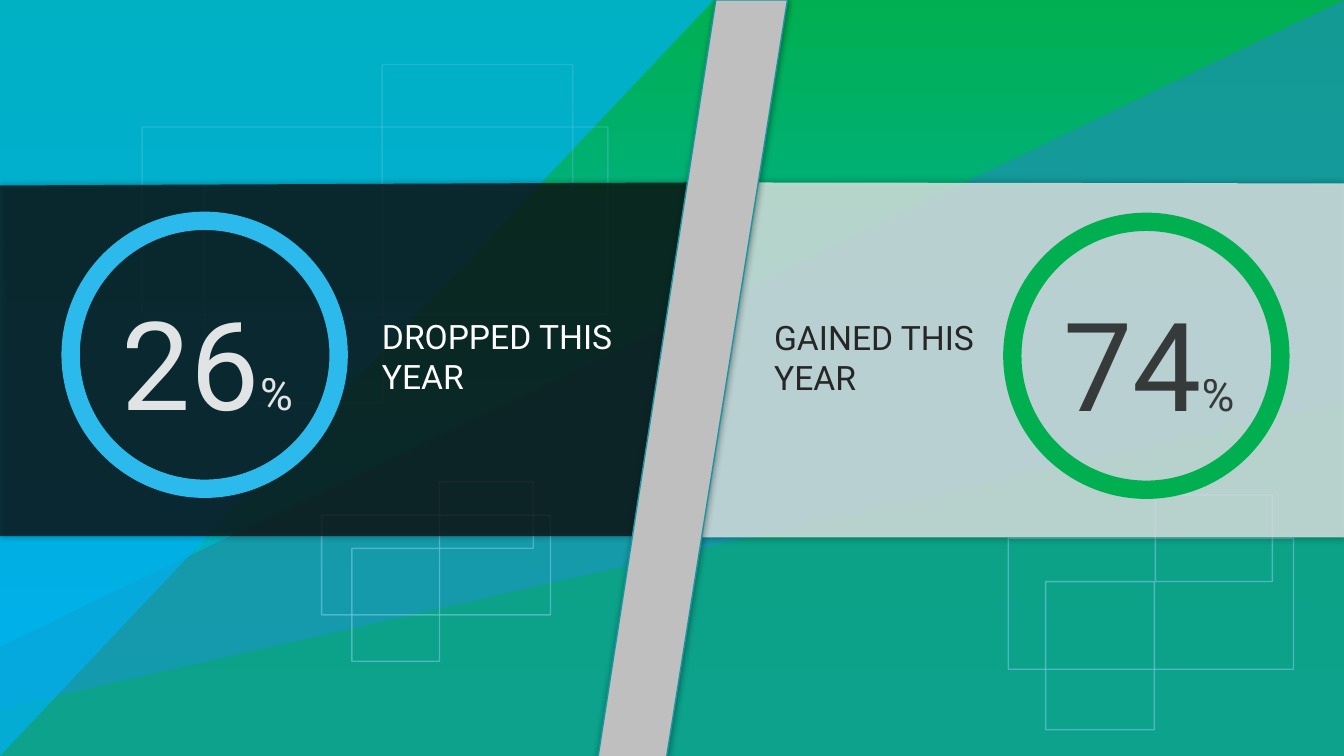
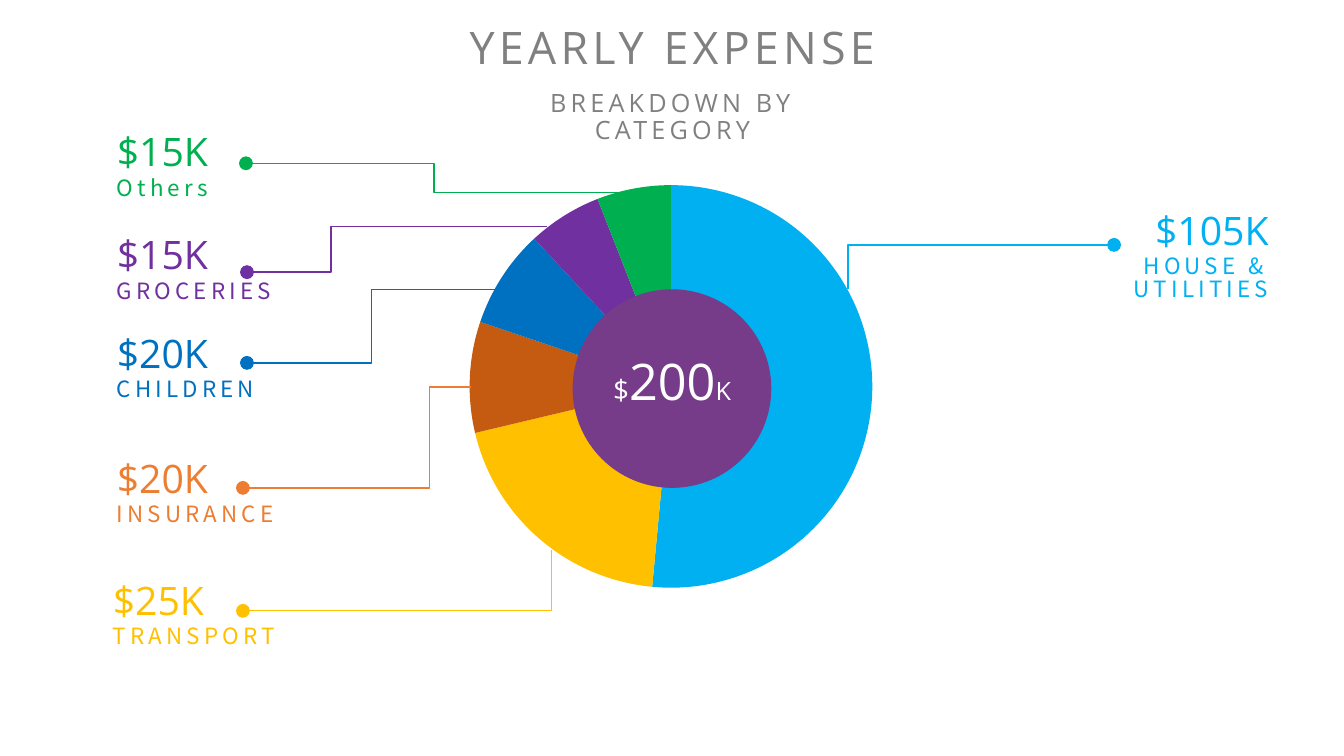
import dataclasses

import lxml.etree
import pptx
import pptx.chart.data
import pptx.dml.color
import pptx.enum.chart
import pptx.enum.dml
import pptx.enum.shapes
import pptx.enum.text
import pptx.oxml.ns
import pptx.shapes.autoshape
import pptx.shapes.shapetree
import pptx.slide
import pptx.text.text
import pptx.util

Inches = pptx.util.Inches
Align = pptx.enum.text.PP_ALIGN
Preset = pptx.enum.shapes.MSO_SHAPE
Point = tuple[float, float]
Box = tuple[float, float, float, float]


@dataclasses.dataclass(frozen=True)
class Theme:
    green: str = "00B050"
    blue: str = "00B0F0"
    teal: str = "1996A3"
    frame: str = "73C8E3"
    ring_blue: str = "2CBAEC"
    white: str = "FFFFFF"
    light: str = "F2F2F2"
    black: str = "000000"
    near_black: str = "0D0D0D"
    dark: str = "262626"
    silver: str = "BFBFBF"
    grey: str = "808080"
    yellow: str = "FFC000"
    orange: str = "ED7D31"
    rust: str = "C55A11"
    navy: str = "0070C0"
    purple: str = "7030A0"
    plum: str = "763B89"
    stat_font: str = "Roboto"
    heading_font: str = "Open Sans"
    label_font: str = "Noto Sans CJK SC"
    stat_size: int = 88
    percent_size: int = 32
    stat_label_size: int = 24
    title_size: int = 32
    subtitle_size: int = 18
    value_size: int = 28
    label_size: int = 16
    total_sizes: tuple[int, int, int] = (20, 36, 18)
    chart_size: int = 10
    tracking: int = 3
    tight: float = 0.9
    label_spacing: float = 0.84


THEME = Theme()


@dataclasses.dataclass(frozen=True)
class TextStyle:
    font: str
    color: str
    align: Align = Align.LEFT
    spacing: float = 1.0
    tracking: int = 0
    opacity: int = 100


@dataclasses.dataclass(frozen=True)
class FrameCluster:
    opacity: int
    boxes: tuple[Box, ...]


@dataclasses.dataclass(frozen=True)
class Statistic:
    number: str
    label: str
    ring_left: float
    top: float
    label_left: float
    ring_color: str
    number_color: str
    label_color: str


@dataclasses.dataclass(frozen=True)
class Callout:
    value: str
    label: str
    color: str
    edge: float
    top: float
    start: Point
    end: Point
    bend: float
    align: Align = Align.LEFT


CLUSTERS = (
    FrameCluster(62, ((10, 5.34, 2.83, 1.3), (11.46, 4.91, 1.16, 0.86), (10.37, 5.77, 1.08, 1.47))),
    FrameCluster(62, ((3.19, 5.11, 2.27, 0.99), (4.36, 4.78, 0.93, 0.66), (3.49, 5.44, 0.87, 1.12))),
    FrameCluster(29, ((1.41, 1.26, 4.62, 1.86), (3.79, 0.64, 1.89, 1.24), (2.03, 1.88, 1.77, 2.12))),
)
STATISTICS = (
    Statistic("26", "DROPPED THIS YEAR", 0.61, 2.1, 3.69, THEME.ring_blue, THEME.white, THEME.white),
    Statistic("74", "GAINED THIS YEAR", 9.95, 2.11, 7.58, THEME.green, THEME.dark, THEME.dark),
)
CALLOUTS = (
    Callout("$105K", "HOUSE & UTILITIES", THEME.blue, 12.68, 2.05, (8.41, 2.87), (11.05, 2.43), 0, Align.RIGHT),
    Callout("$25K", "TRANSPORT", THEME.yellow, 1.02, 5.72, (5.47, 5.46), (2.41, 6.06), 0),
    Callout("$20K", "INSURANCE", THEME.orange, 1.06, 4.51, (4.67, 3.84), (2.41, 4.84), 0.18),
    Callout("$20K", "CHILDREN", THEME.navy, 1.06, 3.27, (4.92, 2.87), (2.45, 3.6), 0.5),
    Callout("$15K", "GROCERIES", THEME.purple, 1.06, 2.29, (5.43, 2.25), (2.45, 2.7), 0.72),
    Callout("$15K", "Others", THEME.green, 1.06, 1.27, (6.17, 1.91), (2.44, 1.62), 0.5),
)
SLICES = (
    (52, THEME.blue), (20, THEME.yellow), (9, THEME.rust),
    (8, THEME.navy), (6, THEME.purple), (6, THEME.green),
)


def rgb(color: str) -> pptx.dml.color.RGBColor:
    return pptx.dml.color.RGBColor.from_string(color)


def add_element(parent: lxml.etree._Element, tag: str, **attributes: str) -> lxml.etree._Element:
    return lxml.etree.SubElement(parent, pptx.oxml.ns.qn(tag), attributes)


def set_opacity(element: lxml.etree._Element, percent: int) -> None:
    if percent < 100:
        for color in element.xpath(".//a:solidFill/a:srgbClr"):
            add_element(color, "a:alpha", val=str(percent * 1000))


def paint(shape: pptx.shapes.autoshape.Shape, fill: str | None = None,
          line: str | None = None, opacity: int = 100) -> None:
    shape.shadow.inherit = False
    if fill:
        shape.fill.solid()
        shape.fill.fore_color.rgb = rgb(fill)
    else:
        shape.fill.background()
    if line:
        shape.line.color.rgb = rgb(line)
        shape.line.width = pptx.util.Pt(1)
    else:
        shape.line.fill.background()
    set_opacity(shape._element.spPr, opacity)


def add_preset(shapes: pptx.shapes.shapetree._BaseGroupShapes, preset: Preset,
               box: Box) -> pptx.shapes.autoshape.Shape:
    return shapes.add_shape(preset, *map(Inches, box))


def add_polygon(slide: pptx.slide.Slide, points: tuple[Point, ...]) -> pptx.shapes.autoshape.Shape:
    corners = [(Inches(x), Inches(y)) for x, y in points]
    builder = slide.shapes.build_freeform(*corners[0], scale=1.0)
    builder.add_line_segments(corners[1:], close=True)
    return builder.convert_to_shape()


def add_shadow(shape: pptx.shapes.autoshape.Shape) -> None:
    effects = shape._element.spPr.xpath("./a:effectLst")[0]
    shadow = add_element(effects, "a:outerShdw", blurRad=str(pptx.util.Pt(5)), dist="0",
                         dir="0", algn="ctr", rotWithShape="0")
    color = add_element(shadow, "a:srgbClr", val=THEME.black)
    add_element(color, "a:alpha", val="40000")


def style_paragraph(paragraph: pptx.text.text._Paragraph, style: TextStyle, sizes: tuple[int, ...]) -> None:
    paragraph.alignment = style.align
    paragraph.line_spacing = style.spacing
    paragraph.space_before = pptx.util.Pt(0)
    for run, size in zip(paragraph.runs, sizes):
        run.font.name = style.font
        run.font.size = pptx.util.Pt(size)
        run.font.color.rgb = rgb(style.color)
        set_opacity(run._r, style.opacity)
        if style.tracking:
            run._r.get_or_add_rPr().set("spc", str(style.tracking * 100))


def add_text(slide: pptx.slide.Slide, box: Box, style: TextStyle, *parts: tuple[str, int]) -> None:
    text_frame = slide.shapes.add_textbox(*map(Inches, box)).text_frame
    text_frame.word_wrap = True
    paragraph = text_frame.paragraphs[0]
    paragraph.text = parts[0][0]
    for text, _ in parts[1:]:
        paragraph.add_run().text = text
    style_paragraph(paragraph, style, tuple(size for _, size in parts))


def fill_placeholder(shape: pptx.shapes.autoshape.Shape, box: Box, text: str, size: int) -> None:
    shape.left, shape.top, shape.width, shape.height = map(Inches, box)
    text_frame = shape.text_frame
    text_frame.text = text
    text_frame.word_wrap = True
    text_frame.auto_size = pptx.enum.text.MSO_AUTO_SIZE.NONE
    text_frame.vertical_anchor = pptx.enum.text.MSO_ANCHOR.TOP
    style = TextStyle(THEME.heading_font, THEME.grey, Align.CENTER, THEME.tight, THEME.tracking)
    style_paragraph(text_frame.paragraphs[0], style, (size,))


def add_backdrop(slide: pptx.slide.Slide) -> None:
    backdrop = add_preset(slide.shapes, Preset.RECTANGLE, (0, 0, 13.33, 7.5))
    paint(backdrop)
    backdrop.fill.gradient()
    backdrop.fill.gradient_angle = 270
    for stop, color in zip(backdrop.fill.gradient_stops, (THEME.green, THEME.blue)):
        stop.color.rgb = rgb(color)
    paint(add_polygon(slide, ((0, 6.42), (13.33, 0), (13.33, 7.5), (0, 7.5))), THEME.teal, opacity=82)
    paint(add_polygon(slide, ((0, 7.03), (13.33, 3.99), (13.33, 7.54), (0, 7.54))), THEME.green, opacity=37)
    corner = add_preset(slide.shapes, Preset.ISOSCELES_TRIANGLE, (0, 0, 7.08, 7.5))
    corner.adjustments[0] = 0
    corner._element.spPr.xfrm.set("flipV", "1")
    paint(corner, THEME.blue, opacity=72)
    for cluster in CLUSTERS:
        group = slide.shapes.add_group_shape()
        for box in cluster.boxes:
            paint(add_preset(group.shapes, Preset.RECTANGLE, box), line=THEME.frame, opacity=cluster.opacity)


def add_bands(slide: pptx.slide.Slide) -> None:
    bands = (
        (((7.25, 1.81), (13.34, 1.82), (13.34, 5.33), (6.93, 5.33)), THEME.light),
        (((0, 1.84), (6.94, 1.81), (6.55, 5.32), (0, 5.32)), THEME.near_black),
    )
    for points, color in bands:
        band = add_polygon(slide, points)
        paint(band, color, opacity=75)
        add_shadow(band)
    divider = add_polygon(slide, ((7.1, 0), (7.81, 0), (6.61, 7.52), (5.93, 7.52)))
    paint(divider, line=THEME.teal)
    divider.fill.patterned()
    divider.fill.pattern = pptx.enum.dml.MSO_PATTERN.DARK_HORIZONTAL
    divider.fill.fore_color.rgb = rgb(THEME.silver)
    divider.fill.back_color.rgb = rgb(THEME.white)
    add_shadow(divider)


def add_statistic(slide: pptx.slide.Slide, item: Statistic) -> None:
    ring = add_preset(slide.shapes, Preset.DONUT, (item.ring_left, item.top, 2.84, 2.84))
    ring.adjustments[0] = 0.064
    paint(ring, item.ring_color)
    number_style = TextStyle(THEME.stat_font, item.number_color, Align.CENTER, opacity=87)
    add_text(slide, (item.ring_left + 0.32, item.top + 0.7, 2.25, 1.58), number_style,
             (item.number, THEME.stat_size), ("%", THEME.percent_size))
    add_text(slide, (item.label_left, item.top + 0.98, 2.66, 0.91),
             TextStyle(THEME.stat_font, item.label_color), (item.label, THEME.stat_label_size))


def add_expense_chart(slide: pptx.slide.Slide) -> None:
    data = pptx.chart.data.CategoryChartData()
    data.categories = [str(index + 1) for index in range(len(SLICES))]
    data.add_series("Series 1", [value for value, _ in SLICES])
    box = map(Inches, (3.01, 1.63, 7.32, 5.05))
    chart = slide.shapes.add_chart(pptx.enum.chart.XL_CHART_TYPE.PIE, *box, data).chart
    chart.has_title = False
    chart.has_legend = False
    chart.font.name = THEME.label_font
    chart.font.size = pptx.util.Pt(THEME.chart_size)
    chart.font.color.rgb = rgb(THEME.black)
    chart.plots[0].vary_by_categories = True
    for index, (_, color) in enumerate(SLICES):
        point_format = chart.plots[0].series[0].points[index].format
        point_format.fill.solid()
        point_format.fill.fore_color.rgb = rgb(color)
        point_format.line.fill.background()
    plot_area = chart._chartSpace.xpath("./c:chart/c:plotArea")[0]
    for layout in plot_area.xpath("./c:layout"):
        plot_area.remove(layout)
    layout = add_element(plot_area, "c:layout")
    plot_area.insert(0, layout)
    manual = add_element(layout, "c:manualLayout")
    settings = (("layoutTarget", "inner"), ("xMode", "edge"), ("yMode", "edge"),
                ("x", "0.225"), ("y", "0.041"), ("w", "0.546"), ("h", "0.791"))
    for name, value in settings:
        add_element(manual, f"c:{name}", val=value)


def add_callout(slide: pptx.slide.Slide, item: Callout) -> None:
    connector = slide.shapes.add_connector(
        pptx.enum.shapes.MSO_CONNECTOR.ELBOW, *map(Inches, item.start + item.end))
    connector.line.color.rgb = rgb(item.color)
    connector.line.width = pptx.util.Pt(1)
    properties = connector._element.spPr
    add_element(connector.line._get_or_add_ln(), "a:tailEnd", type="oval", w="lg", len="lg")
    add_element(properties, "a:effectLst")
    geometry = properties.xpath("./a:prstGeom")[0]
    for adjustments in geometry.xpath("./a:avLst"):
        geometry.remove(adjustments)
    add_element(add_element(geometry, "a:avLst"), "a:gd", name="adj1", fmla=f"val {round(item.bend * 100000)}")
    rows = (
        (item.value, 0, 1.62, 0.57, THEME.value_size,
         TextStyle(THEME.heading_font, item.color, item.align, THEME.tight)),
        (item.label, 0.45, 2.7, 0.37, THEME.label_size,
         TextStyle(THEME.label_font, item.color, item.align, THEME.label_spacing, THEME.tracking)),
    )
    for text, offset, width, height, size, style in rows:
        left = item.edge - width if item.align == Align.RIGHT else item.edge
        add_text(slide, (left, item.top + offset, width, height), style, (text, size))


def build_comparison_slide(presentation: pptx.presentation.Presentation) -> None:
    slide = presentation.slides.add_slide(presentation.slide_layouts[6])
    add_backdrop(slide)
    add_bands(slide)
    for item in STATISTICS:
        add_statistic(slide, item)


def build_expense_slide(presentation: pptx.presentation.Presentation) -> None:
    slide = presentation.slides.add_slide(presentation.slide_layouts[0])
    fill_placeholder(slide.shapes.title, (4.47, 0.21, 4.4, 0.64), "YEARLY EXPENSE", THEME.title_size)
    fill_placeholder(slide.placeholders[1], (4.62, 0.85, 4.1, 0.4), "BREAKDOWN BY CATEGORY", THEME.subtitle_size)
    add_expense_chart(slide)
    paint(add_preset(slide.shapes, Preset.OVAL, (5.68, 2.87, 1.97, 1.97)), THEME.plum)
    add_text(slide, (5.81, 3.49, 1.71, 0.71),
             TextStyle(THEME.heading_font, THEME.white, Align.CENTER, THEME.tight),
             *zip(("$", "200", "K"), THEME.total_sizes))
    for item in CALLOUTS:
        add_callout(slide, item)


def main() -> None:
    presentation = pptx.Presentation()
    presentation.slide_width = Inches(13.33)
    presentation.slide_height = Inches(7.5)
    build_comparison_slide(presentation)
    build_expense_slide(presentation)
    presentation.save("out.pptx")


if __name__ == "__main__":
    main()
